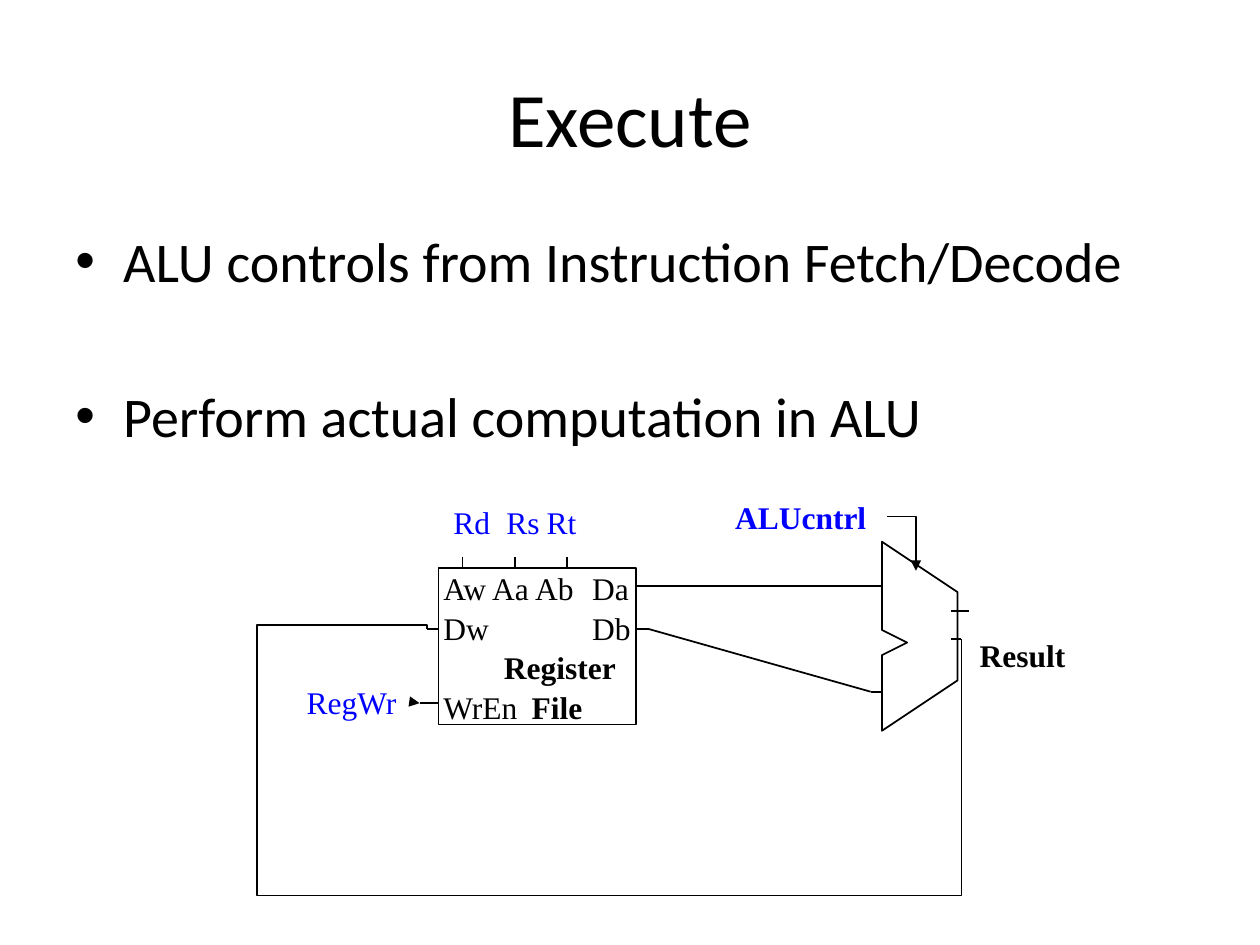
from lxml.etree import SubElement
from pptx import Presentation
from pptx.dml.color import RGBColor
from pptx.enum.shapes import MSO_CONNECTOR as LINK, MSO_SHAPE as SHAPE
from pptx.enum.text import MSO_ANCHOR as ANCHOR, PP_ALIGN as ALIGN
from pptx.oxml.ns import qn
from pptx.util import Inches, Pt

COLORS = {"ink": "000000", "signal": "0000FF", "paper": "FFFFFF"}
RGB = {name: RGBColor.from_string(code) for name, code in COLORS.items()}

deck = Presentation()
deck.slide_width, deck.slide_height = Inches(10), Inches(7.5)
COL, ROW = deck.slide_width / 100, deck.slide_height / 75
slide = deck.slides.add_slide(deck.slide_layouts[5])
shapes = slide.shapes


def cells(left, top, width, height):
    return [round(n * unit) for n, unit in zip((left, top, width, height), (COL, ROW) * 2)]


def wire(start, end, arrow=False, kind=LINK.STRAIGHT):
    link = shapes.add_connector(kind, *cells(*start, *end))
    link.line.color.rgb = RGB["ink"]
    link.line.width = Pt(1)
    properties = link._element.spPr
    if arrow:
        SubElement(properties.find(qn("a:ln")), qn("a:tailEnd"), type="triangle")
    SubElement(properties, qn("a:effectLst"))
    return properties


title = shapes.title
title.left, title.top, title.width, title.height = cells(5, 3, 90, 12.5)
title.text_frame.text = "Execute"
title.text_frame.vertical_anchor = ANCHOR.MIDDLE
heading = title.text_frame.paragraphs[0]
heading.alignment = ALIGN.CENTER
heading.font.name, heading.font.size = "Calibri", Pt(44)
heading.font.color.rgb = RGB["ink"]

points = shapes.add_textbox(*cells(5, 17.5, 90, 21.7)).text_frame
points.word_wrap = True
points.text = "ALU controls from Instruction Fetch/Decode\nPerform actual computation in ALU"
points.paragraphs[1].space_before = Pt(50)
for point in points.paragraphs:
    properties = point._p.get_or_add_pPr()
    properties.set("marL", str(Inches(0.38)))
    properties.set("indent", str(-Inches(0.38)))
    SubElement(properties, qn("a:buFont"), typeface="Arial")
    SubElement(properties, qn("a:buChar"), char="•")
    point.font.name, point.font.size = "Calibri", Pt(32)
    point.font.color.rgb = RGB["ink"]

alu_outline = [(70, 43.4), (75.5, 47.1), (75.5, 54.3), (70, 58),
               (70, 51.9), (71.9, 50.7), (70, 49.5)]
builder = shapes.build_freeform(*alu_outline[0], scale=(COL, ROW))
builder.add_line_segments(alu_outline[1:], close=True)
alu = builder.convert_to_shape()
register_file = shapes.add_shape(SHAPE.RECTANGLE, *cells(34.8, 45.1, 15.7, 12.4))
for block in (alu, register_file):
    block.shadow.inherit = False
    block.fill.solid()
    block.fill.fore_color.rgb = RGB["paper"]
    block.line.color.rgb = RGB["ink"]
    block.line.width = Pt(1)

ports = register_file.text_frame
ports.word_wrap = True
ports.vertical_anchor = ANCHOR.MIDDLE
ports.margin_left = Inches(0.04)
ports.margin_right = ports.margin_top = ports.margin_bottom = 0
port_rows = [
    ([("Aw Aa Ab\tDa", False)], 1.18),
    ([("Dw\tDb", False)], 1.18),
    ([("\t", False), ("Register", True)], 0.48),
    ([("WrEn\t", False), ("File", True)], 0.7),
]
for number, (pieces, stop) in enumerate(port_rows):
    row = ports.add_paragraph() if number else ports.paragraphs[0]
    row.alignment = ALIGN.LEFT
    row.line_spacing = 1.05
    stops = SubElement(row._p.get_or_add_pPr(), qn("a:tabLst"))
    SubElement(stops, qn("a:tab"), pos=str(Inches(stop)), algn="l")
    row.font.name, row.font.size = "Times New Roman", Pt(18)
    row.font.color.rgb = RGB["ink"]
    for words, bold in pieces:
        piece = row.add_run()
        piece.text, piece.font.bold = words, bold

labels = [
    ("ALUcntrl", (57.3, 39, 12.5, 4), "signal", True, []),
    ("RegWr", (23.3, 53.7, 9.2, 4), "signal", False, []),
    ("Rd\tRs\tRt", (35, 39.4, 12.3, 4), "signal", False, [0.42, 0.74]),
    ("Result", (76.7, 50, 8.9, 4), "ink", True, []),
]
for words, place, color, bold, tab_places in labels:
    label = shapes.add_textbox(*cells(*place)).text_frame
    label.word_wrap = bool(tab_places)
    label.text = words
    line = label.paragraphs[0]
    line.alignment = ALIGN.LEFT if tab_places else ALIGN.CENTER
    if tab_places:
        stops = SubElement(line._p.get_or_add_pPr(), qn("a:tabLst"))
        for place in tab_places:
            SubElement(stops, qn("a:tab"), pos=str(Inches(place)), algn="l")
    line.font.name, line.font.size, line.font.bold = "Times New Roman", Pt(18), bold
    line.font.color.rgb = RGB[color]

for address_x in (36.7, 40.9, 45):
    wire((address_x, 45.1), (address_x, 44.2))
for data_y, operand_y in ((46.5, 46.5), (49.9, 54.9)):
    wire((50.5, data_y), (51.4, data_y))
    wire((51.4, data_y), (69.1, operand_y))
    wire((69.1, operand_y), (70, operand_y))
wire((33.9, 49.9), (34.8, 49.9))
wire((33.3, 55.8), (34.8, 55.8))
wire((32.6, 55.7), (33.3, 55.8), arrow=True)
wire((75.5, 50.7), (76.3, 50.7))
wire((75.5, 48.5), (76.9, 48.5))

control = wire((70.4, 41), (72.7, 45.3), arrow=True, kind=LINK.ELBOW)
control.find(qn("a:prstGeom")).set("prst", "bentConnector2")

rise, run = 0.8, 42.4
feedback = wire((54.7, 29.1), (54.7 + rise, 29.1 + run), kind=LINK.ELBOW)
frame = feedback.find(qn("a:xfrm"))
frame.set("rot", str(270 * 60000))
frame.set("flipV", "1")
bends = feedback.find(qn("a:prstGeom"))
bends.set("prst", "bentConnector5")
guides = bends.find(qn("a:avLst"))
if guides is None:
    guides = SubElement(bends, qn("a:avLst"))
for number, share in enumerate((-20.4 / rise, 55.9 / run, 1.1 / rise), 1):
    SubElement(guides, qn("a:gd"), name=f"adj{number}", fmla=f"val {round(share * 100000)}")

deck.save("out.pptx")
